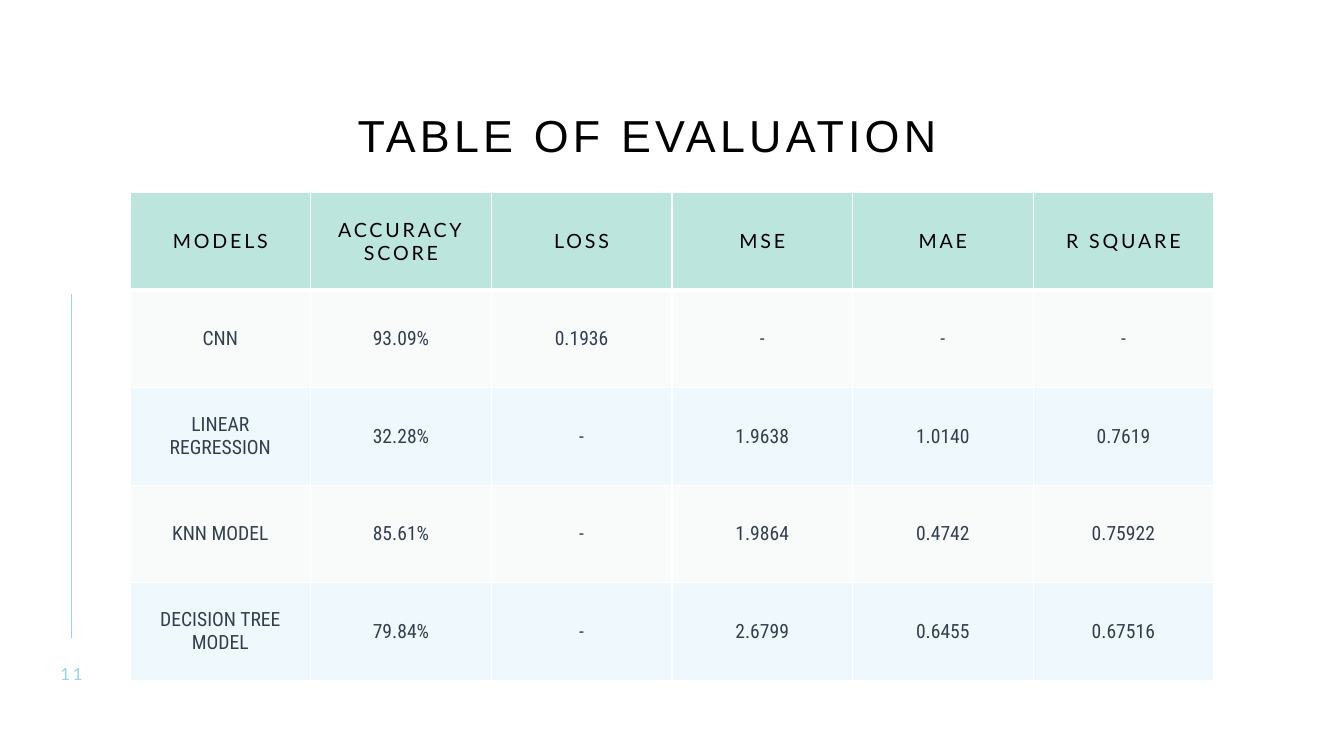
from lxml.etree import SubElement
from pptx import Presentation
from pptx.dml.color import RGBColor
from pptx.enum.shapes import MSO_CONNECTOR
from pptx.enum.text import MSO_ANCHOR, PP_ALIGN
from pptx.oxml import parse_xml
from pptx.oxml.ns import nsdecls, qn
from pptx.util import Inches, Pt

BLACK = RGBColor(0x00, 0x00, 0x00)
SLATE = RGBColor(0x33, 0x3F, 0x50)
SKY = RGBColor(0x96, 0xD3, 0xED)
MINT = RGBColor(0xBC, 0xE5, 0xDD)
MIST = RGBColor(0xC7, 0xDB, 0xE1)

TITLE = dict(name="Arial", size=Pt(32), color=BLACK, spacing=3)
NUMBER = dict(name="Lato", size=Pt(12), color=SKY, spacing=2)
HEADER = dict(name="Lato", size=Pt(14), color=BLACK, spacing=2)
BODY = dict(name="Roboto Condensed", size=Pt(14), color=SLATE, spacing=0)


def write(tf, text, style):
    p = tf.paragraphs[0]
    p.alignment = PP_ALIGN.CENTER
    r = p.add_run()
    r.text = text
    for key in ("name", "size"):
        setattr(r.font, key, style[key])
    r.font.color.rgb = style["color"]
    r.font._element.set("spc", str(style["spacing"] * 100))


def add_label(s, box, text, style, anchor):
    sp = s.shapes.add_textbox(*[Inches(v) for v in box])
    tf = sp.text_frame
    settings = dict(word_wrap=True, vertical_anchor=anchor, margin_left=0,
                    margin_right=0, margin_top=0, margin_bottom=0)
    for key, value in settings.items():
        setattr(tf, key, value)
    write(tf, text, style)
    return tf


prs = Presentation()
prs.slide_width, prs.slide_height = Inches(13.33), Inches(7.5)
s = prs.slides.add_slide(prs.slide_layouts[6])

# Side line
line = s.shapes.add_connector(MSO_CONNECTOR.STRAIGHT, Inches(0.71), Inches(2.92),
                              Inches(0.71), Inches(6.33))
line.line.color.rgb = SKY
line.line.width = Pt(1)
SubElement(line._element.spPr, qn("a:effectLst"))

# Title and slide number
tf = add_label(s, (2.2, 1.13, 8.44, 0.65), "TABLE OF EVALUATION", TITLE, MSO_ANCHOR.TOP)
tf.paragraphs[0].line_spacing = 0.9
add_label(s, (0.46, 6.58, 0.5, 0.2), "11", NUMBER, MSO_ANCHOR.MIDDLE)

# Evaluation table
rows = [
    ["MODELS", "ACCURACY SCORE", "LOSS", "MSE", "MAE", "R SQUARE"],
    ["CNN", "93.09%", "0.1936", "-", "-", "-"],
    ["LINEAR REGRESSION", "32.28%", "-", "1.9638", "1.0140", "0.7619"],
    ["KNN MODEL", "85.61%", "-", "1.9864", "0.4742", "0.75922"],
    ["DECISION TREE MODEL", "79.84%", "-", "2.6799", "0.6455", "0.67516"],
]
table = s.shapes.add_table(len(rows), len(rows[0]), Inches(1.29), Inches(1.91),
                           Inches(10.75), Inches(4.84)).table

for i, row in enumerate(rows):
    # Header is solid, body bands alternate between two pale tints
    fill, alpha = (MINT, 100) if i == 0 else (MIST, 10) if i % 2 else (SKY, 15)
    for j, text in enumerate(row):
        cell = table.cell(i, j)
        cell.vertical_anchor = MSO_ANCHOR.MIDDLE
        write(cell.text_frame, text, BODY if i else HEADER)
        cell.fill.solid()
        cell.fill.fore_color.rgb = fill
        tcPr = cell._tc.get_or_add_tcPr()
        color = tcPr.find(qn("a:solidFill"))[0]
        SubElement(color, qn("a:alpha"), val=str(alpha * 1000))

        # White rules, thicker under the header
        widths = dict(lnL=1, lnR=1, lnT=3 if i == 1 else 1, lnB=1 if i else 3)
        for k, (side, width) in enumerate(widths.items()):
            tcPr.insert(k, parse_xml(
                f'<a:{side} {nsdecls("a")} w="{Pt(width)}"><a:solidFill>'
                f'<a:srgbClr val="FFFFFF"/></a:solidFill></a:{side}>'))

prs.save("out.pptx")
